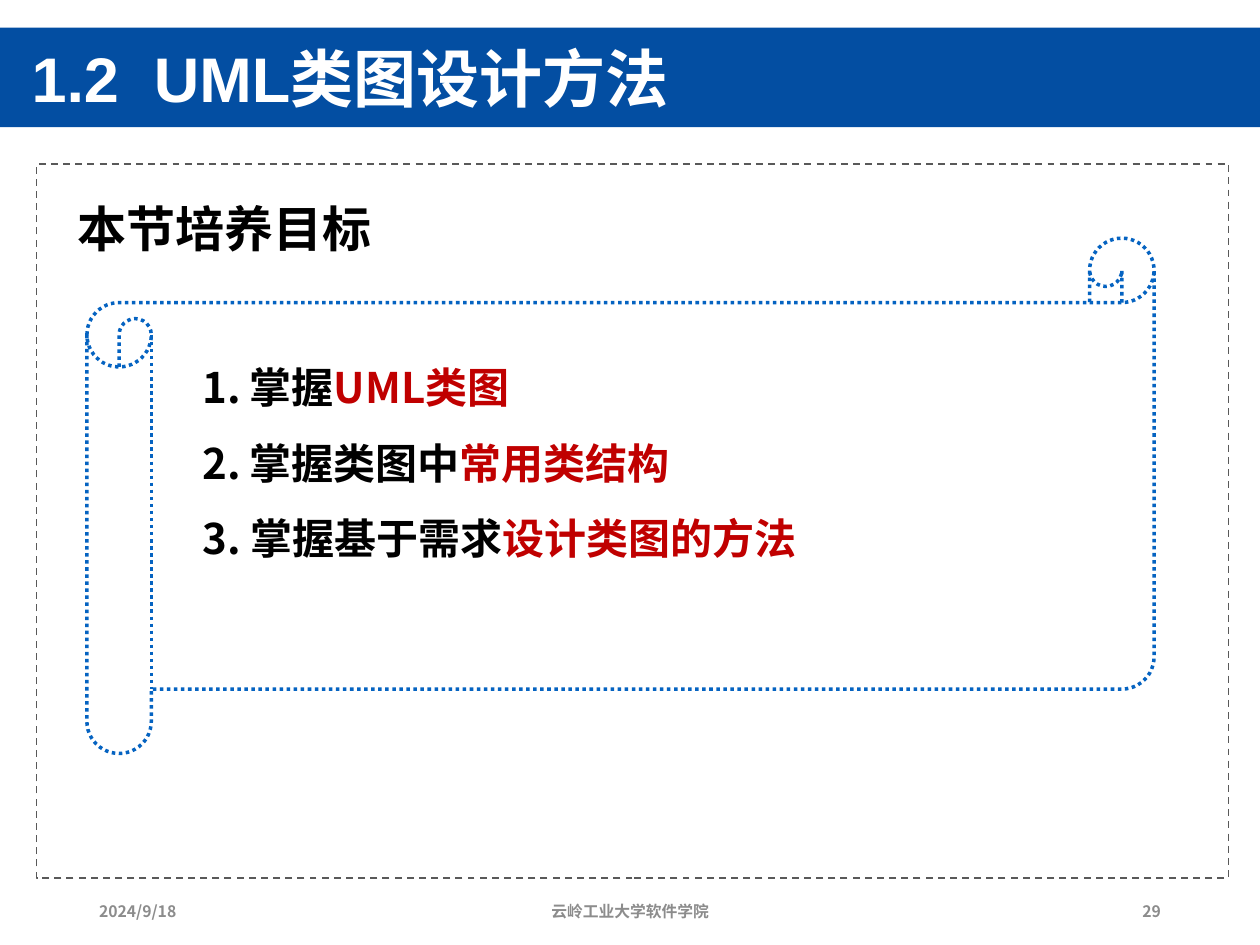
from lxml.etree import SubElement
from pptx import Presentation
from pptx.dml.color import RGBColor
from pptx.enum.dml import MSO_LINE as Dash
from pptx.enum.shapes import MSO_SHAPE as Shape
from pptx.enum.text import MSO_ANCHOR as Anchor, MSO_AUTO_SIZE as Fit, PP_ALIGN as Align
from pptx.oxml.ns import qn
from pptx.util import Pt

BLACK = RGBColor(0, 0, 0)
WHITE = RGBColor(255, 255, 255)
RED = RGBColor(0xC0, 0, 0)
BLUE = RGBColor(0x03, 0x4E, 0xA2)
AZURE = RGBColor(0x05, 0x63, 0xC1)
DARK = RGBColor(0x59, 0x59, 0x59)
GREY = RGBColor(0x8C, 0x8C, 0x8C)
SANS = "Noto Sans CJK SC"

GOALS = [
    ("掌握", "UML类图", True),
    ("掌握类图中", "常用类结构", True),
    ("3. 掌握基于需求", "设计类图的方法", False),
]
FOOTER = [
    (49.5, 162, "2024/9/18", Align.LEFT),
    (238.5, 243, "云岭工业大学软件学院", Align.CENTER),
    (508.5, 162, "29", Align.RIGHT),
]


def style(para, size, color, align=Align.LEFT, name=SANS):
    """Format a paragraph, with the CJK face for its Chinese characters."""
    para.alignment = align
    font = para.font
    font.size, font.bold, font.name = Pt(size), True, name
    font.color.rgb = color
    props = para._p.pPr.find(qn("a:defRPr"))
    SubElement(props, qn("a:ea")).set("typeface", SANS)


def add_frame(slide, box, anchor=Anchor.MIDDLE):
    frame = slide.shapes.add_textbox(*map(Pt, box)).text_frame
    frame.word_wrap = True
    frame.vertical_anchor = anchor
    return frame


def add_label(slide, box, text, size, color, align=Align.LEFT):
    para = add_frame(slide, box).paragraphs[0]
    para.text = text
    style(para, size, color, align)


def add_band(slide, box, color):
    band = slide.shapes.add_shape(Shape.RECTANGLE, *map(Pt, box))
    band.shadow.inherit = False
    band.fill.solid()
    band.fill.fore_color.rgb = color
    band.line.fill.background()
    return band


def add_outline(slide, kind, box, color, width, dash):
    shape = slide.shapes.add_shape(kind, *map(Pt, box))
    shape.shadow.inherit = False
    shape.fill.background()
    shape.line.color.rgb = color
    shape.line.width = Pt(width)
    shape.line.dash_style = dash


def set_title(slide, box, text):
    title = slide.shapes.title
    title.left, title.top, title.width, title.height = map(Pt, box)
    frame = title.text_frame
    frame.auto_size = Fit.NONE
    frame.vertical_anchor = Anchor.MIDDLE
    para = frame.paragraphs[0]
    para.text = text
    para.line_spacing = 0.9
    style(para, 36, WHITE, name="Arial")
    return title


def number(para, indent):
    """Turn on automatic numbering with a hanging indent."""
    props = para._p.pPr
    props.set("marL", str(Pt(indent)))
    props.set("indent", str(-Pt(indent)))
    mark = SubElement(props, qn("a:buAutoNum"))
    mark.set("type", "arabicPeriod")
    props.find(qn("a:defRPr")).addprevious(mark)


def add_goals(slide, box):
    frame = add_frame(slide, box, Anchor.TOP)
    frame.auto_size = Fit.SHAPE_TO_FIT_TEXT
    for i, (lead, key, auto) in enumerate(GOALS):
        para = frame.add_paragraph() if i else frame.paragraphs[0]
        para.line_spacing = 1.5
        style(para, 24, BLACK, Align.JUSTIFY)
        if auto:
            number(para, 27)
        for text, color in ((lead, BLACK), (key, RED)):
            run = para.add_run()
            run.text = text
            run.font.color.rgb = color


def main():
    deck = Presentation()
    deck.slide_width, deck.slide_height = Pt(720), Pt(540)
    slide = deck.slides.add_slide(deck.slide_layouts[5])

    title = set_title(slide, (10.8, 20.9, 539.3, 51.8), "1.2  UML类图设计方法")
    band = add_band(slide, (0, 15.8, 720, 56.9), BLUE)
    title._element.addprevious(band._element)

    add_label(slide, (37.4, 105.1, 630, 50.4), "本节培养目标", 28, BLACK)
    for left, width, text, align in FOOTER:
        add_label(slide, (left, 506.2, width, 28.8), text, 9, GREY, align)

    add_outline(slide, Shape.RECTANGLE, (20.9, 93.6, 681.1, 408.2), DARK, 1, Dash.DASH)
    add_outline(slide, Shape.HORIZONTAL_SCROLL, (49.7, 136.1, 609.8, 294.5),
                AZURE, 2, Dash.ROUND_DOT)
    add_goals(slide, (108.7, 188.6, 504.7, 138.2))
    deck.save("out.pptx")


if __name__ == "__main__":
    main()
